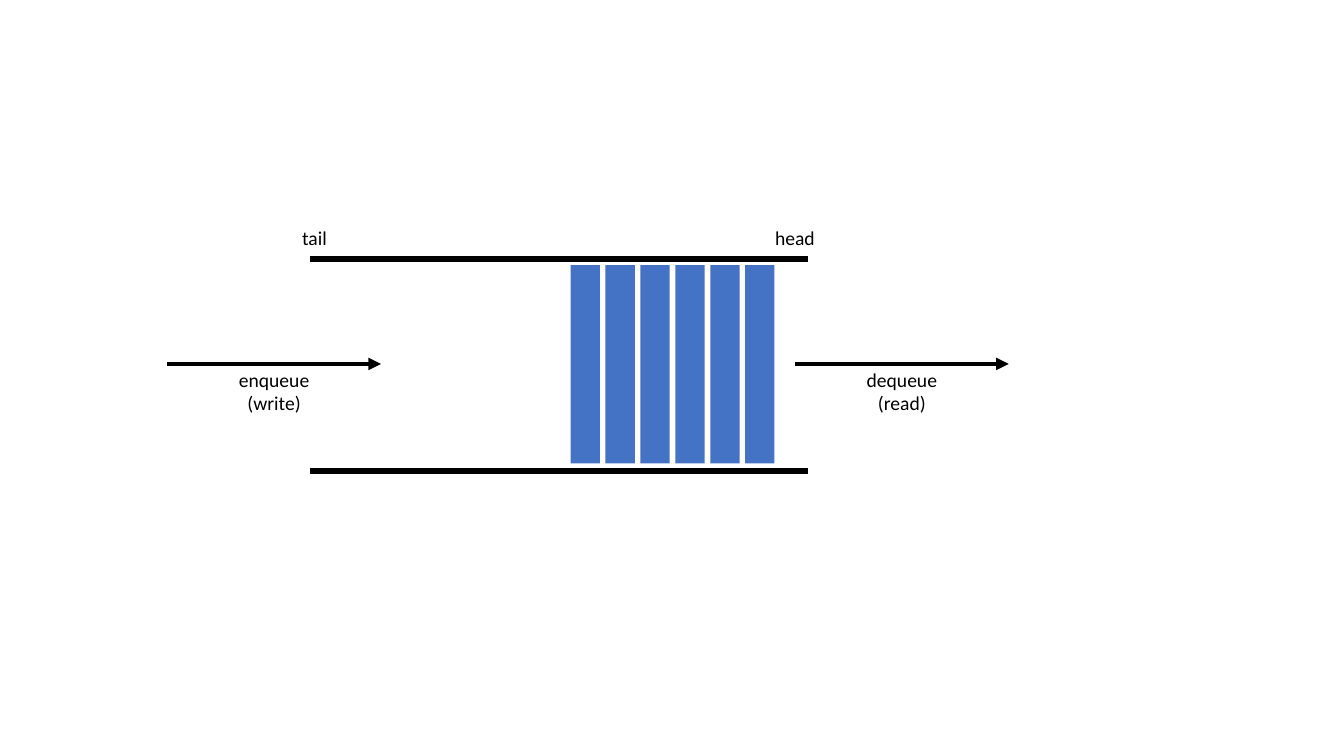
import pptx
import pptx.util
import pptx.dml.color
import pptx.enum.shapes
import pptx.enum.text
import pptx.oxml.ns
import lxml.etree

Cm, Pt = pptx.util.Cm, pptx.util.Pt
RGB = pptx.dml.color.RGBColor

ENDS = [("tail", 6.25), ("head", 18.36)]
FLOWS = [(["enqueue", "(write)"], 4.22), (["dequeue", "(read)"], 20.04)]
ITEMS = 6
RAILS = [6.53, 11.86]

THEME = {
    "font": "Calibri",
    "size": 14,
    "ink": RGB(0, 0, 0),
    "bar": RGB(0x44, 0x72, 0xC4),
    "rail": 4.5,
    "arrow": 3,
}

LEFT, RIGHT = 7.8, 20.35
BAR_X, BAR_Y, BAR_W, BAR_H, STEP = 14.38, 6.68, 0.74, 5, 0.88
FLOW_Y, FLOW_W = 9.17, 5.38
TEXT_W = 3.35

deck = pptx.Presentation()
deck.slide_width, deck.slide_height = Cm(33.87), Cm(19.05)
slide = deck.slides.add_slide(deck.slide_layouts[6])
shapes = slide.shapes


def add_text(lines, x, y, w, h, size=THEME["size"], color=THEME["ink"],
             align=pptx.enum.text.PP_ALIGN.CENTER):
    frame = shapes.add_textbox(Cm(x), Cm(y), Cm(w), Cm(h)).text_frame
    frame.word_wrap = True
    frame.auto_size = pptx.enum.text.MSO_AUTO_SIZE.SHAPE_TO_FIT_TEXT
    frame.text = "\n".join(lines)
    for para in frame.paragraphs:
        para.alignment = align
        font = para.runs[0].font
        font.name, font.size = THEME["font"], Pt(size)
        font.color.rgb = color


def add_line(x, y, end, width, arrow=False):
    line = shapes.add_connector(
        pptx.enum.shapes.MSO_CONNECTOR.STRAIGHT, Cm(x), Cm(y), Cm(end), Cm(y))
    line.line.color.rgb = THEME["ink"]
    line.line.width = Pt(width)
    qn = pptx.oxml.ns.qn
    if arrow:
        lxml.etree.SubElement(
            line.line._get_or_add_ln(), qn("a:tailEnd"), type="triangle")
    lxml.etree.SubElement(line._element.spPr, qn("a:effectLst"))


for y in RAILS:
    add_line(LEFT, y, RIGHT, THEME["rail"])

for i in range(ITEMS):
    bar = shapes.add_shape(
        pptx.enum.shapes.MSO_SHAPE.RECTANGLE,
        Cm(BAR_X + i * STEP), Cm(BAR_Y), Cm(BAR_W), Cm(BAR_H))
    bar.shadow.inherit = False
    bar.fill.solid()
    bar.fill.fore_color.rgb = THEME["bar"]
    bar.line.fill.background()

for lines, x in FLOWS:
    add_line(x, FLOW_Y, x + FLOW_W, THEME["arrow"], arrow=True)
    add_text(lines, x + (FLOW_W - TEXT_W) / 2, FLOW_Y - 0.03, TEXT_W, 1.45)

for word, x in ENDS:
    add_text([word], x, 5.56, TEXT_W, 0.86)

deck.save("out.pptx")
